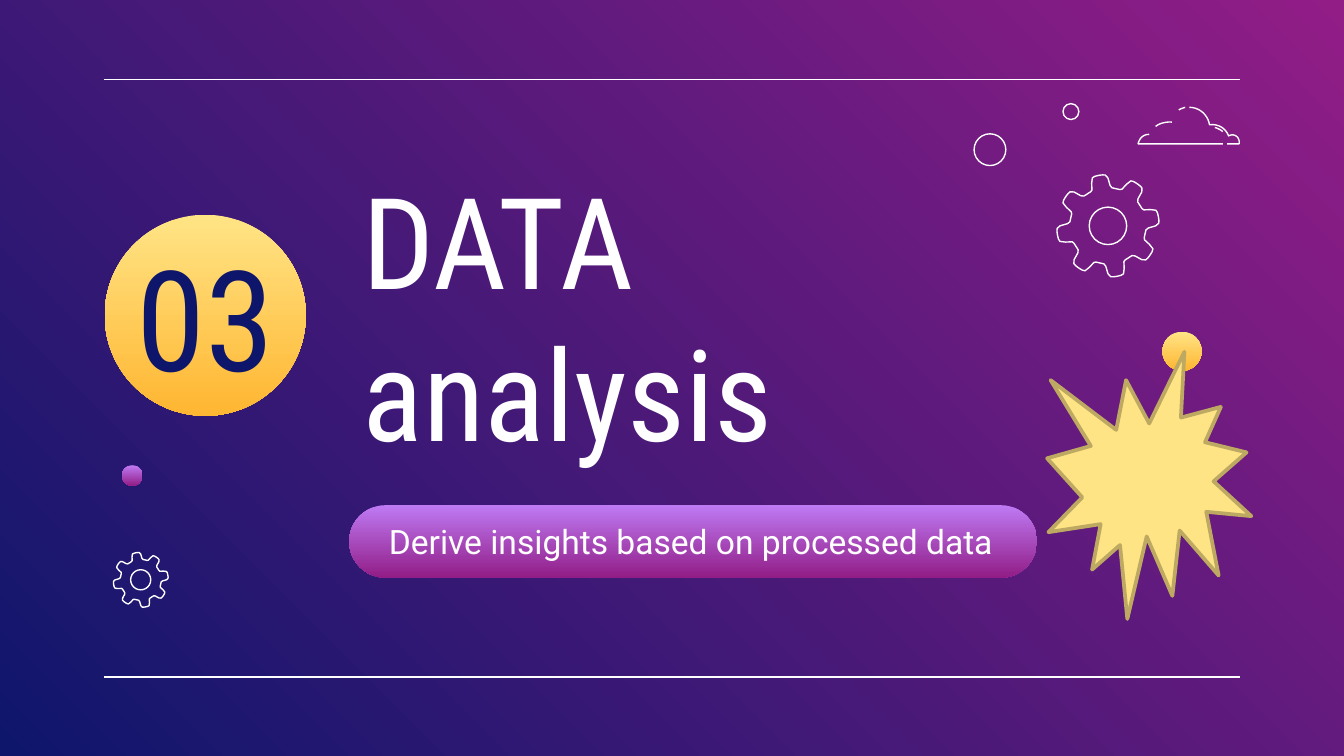
import math

import lxml.etree
import pptx
import pptx.dml.color
import pptx.enum.shapes
import pptx.enum.text
import pptx.oxml.ns
import pptx.util

Cm = pptx.util.Cm
Pt = pptx.util.Pt
RGBColor = pptx.dml.color.RGBColor
Shape = pptx.enum.shapes.MSO_SHAPE
Align = pptx.enum.text.PP_ALIGN

WHITE = RGBColor(0xFF, 0xFF, 0xFF)
NAVY = RGBColor(0x0E, 0x16, 0x6C)
MAGENTA = RGBColor(0x92, 0x1D, 0x87)
LILAC = RGBColor(0xBE, 0x7A, 0xF3)
YELLOW = RGBColor(0xFF, 0xE4, 0x85)
ORANGE = RGBColor(0xFF, 0xB6, 0x32)
KHAKI = RGBColor(0xBD, 0xA9, 0x62)

GOLD_BLEND = (YELLOW, ORANGE)
PURPLE_BLEND = (LILAC, MAGENTA)

# Cloud strokes in cm: a start, then line ends (2 numbers) or curves (6 numbers)
CLOUD = [
    [(22.48, 2.03), (22.68, 2.03, 22.83, 2.18, 22.86, 2.36),
     (23.01, 2.34, 23.16, 2.41, 23.22, 2.57),
     (23.32, 2.51, 23.44, 2.59, 23.42, 2.72), (23.19, 2.72)],
    [(22.4, 2.03), (22.4, 2.03, 22.3, 2.06, 22.28, 2.08)],
    [(23.11, 2.72), (21.51, 2.72), (21.51, 2.72, 21.54, 2.54, 21.72, 2.54)],
    [(22.96, 2.41), (22.96, 2.41, 23.06, 2.44, 23.11, 2.49)],
    [(22.15, 2.31), (22.15, 2.31, 21.97, 2.29, 21.84, 2.39)],
]


def blend(fill, colors, angle):
    """Two-colour gradient; the angle runs counter-clockwise."""
    fill.gradient()
    fill.gradient_angle = angle
    for stop, color in zip(fill.gradient_stops, colors):
        stop.color.rgb = color


def outline(shape, color=WHITE, width=0.75):
    shape.line.color.rgb = color
    shape.line.width = Pt(width)


def add_blended(slide, preset, left, top, width, height, colors):
    shape = slide.shapes.add_shape(preset, Cm(left), Cm(top), Cm(width), Cm(height))
    shape.shadow.inherit = False
    shape.line.fill.background()
    blend(shape.fill, colors, 270)
    return shape


def add_disc(slide, x, y, diameter, colors):
    radius = diameter / 2
    add_blended(slide, Shape.OVAL, x - radius, y - radius, diameter, diameter, colors)


def add_ring(slide, x, y, diameter):
    radius = diameter / 2
    ring = slide.shapes.add_shape(
        Shape.OVAL, Cm(x - radius), Cm(y - radius), Cm(diameter), Cm(diameter))
    ring.shadow.inherit = False
    ring.fill.background()
    outline(ring)


def add_rule(slide, y):
    rule = slide.shapes.add_connector(
        pptx.enum.shapes.MSO_CONNECTOR.STRAIGHT, Cm(1.96), Cm(y), Cm(23.44), Cm(y))
    outline(rule)
    properties = rule.element.find(pptx.oxml.ns.qn("p:spPr"))
    lxml.etree.SubElement(properties, pptx.oxml.ns.qn("a:effectLst"))


def add_stroke(slide, points, close):
    points = [(Cm(x), Cm(y)) for x, y in points]
    builder = slide.shapes.build_freeform(*points[0])
    builder.add_line_segments(points[1:], close=close)
    stroke = builder.convert_to_shape()
    stroke.shadow.inherit = False
    stroke.fill.background()
    outline(stroke)


def add_gear(slide, x, y, radius):
    """Eight rounded teeth around a round hole."""
    rim = []
    for degrees in range(0, 360, 3):
        wave = math.cos(math.radians(8 * (degrees - 35)))
        reach = radius * (0.87 + 0.13 * math.tanh(3 * wave))
        angle = math.radians(degrees)
        rim.append((x + reach * math.cos(angle), y + reach * math.sin(angle)))
    add_stroke(slide, rim, close=True)
    add_ring(slide, x, y, radius * 0.73)


def trace(segments, steps=10):
    """Points along a stroke of lines and cubic curves."""
    points = [segments[0]]
    for segment in segments[1:]:
        if len(segment) == 2:
            points.append(segment)
            continue
        corners = [points[-1], segment[:2], segment[2:4], segment[4:]]
        for step in range(1, steps + 1):
            t = step / steps
            weights = ((1 - t) ** 3, 3 * t * (1 - t) ** 2, 3 * t * t * (1 - t), t ** 3)
            points.append(tuple(
                sum(w * corner[axis] for w, corner in zip(weights, corners))
                for axis in (0, 1)))
    return points


def set_text(box, text, place, font, size, color, align):
    box.left, box.top, box.width, box.height = map(Cm, place)
    frame = box.text_frame
    frame.text = text
    frame.word_wrap = True
    frame.auto_size = pptx.enum.text.MSO_AUTO_SIZE.NONE
    frame.vertical_anchor = pptx.enum.text.MSO_ANCHOR.MIDDLE
    frame.margin_left = frame.margin_right = Cm(0.25)
    frame.margin_top = frame.margin_bottom = Cm(0.25)
    paragraph = frame.paragraphs[0]
    paragraph.alignment = align
    paragraph.space_before = Pt(0)
    run_font = paragraph.runs[0].font
    run_font.name = font
    run_font.size = Pt(size)
    run_font.color.rgb = color


def main():
    deck = pptx.Presentation()
    deck.slide_width, deck.slide_height = Cm(25.4), Cm(14.29)
    slide = deck.slides.add_slide(deck.slide_layouts[0])
    blend(slide.background.fill, (MAGENTA, NAVY), 225)

    # Frame lines, subtitle pill and number badge
    for y in (1.5, 12.8):
        add_rule(slide, y)
    pill = add_blended(slide, Shape.ROUNDED_RECTANGLE, 6.6, 9.55, 13, 1.37, PURPLE_BLEND)
    pill.adjustments[0] = 0.5
    add_disc(slide, 3.88, 5.96, 3.8, GOLD_BLEND)

    # Section title, subtitle and number, in front of their backings
    title, subtitle = slide.placeholders
    for box in (title, subtitle):
        slide.shapes.element.append(box.element)
    number = slide.shapes.add_textbox(0, 0, 0, 0)
    set_text(title, "DATA analysis", (6.6, 3.53, 12.34, 4.83),
             "Roboto Condensed", 68, WHITE, Align.LEFT)
    set_text(subtitle, "Derive insights based on processed data",
             (6.76, 9.8, 12.6, 0.84), "Roboto", 18, WHITE, Align.CENTER)
    set_text(number, "03", (1.98, 4.9, 3.81, 2.11),
             "Roboto Condensed", 75, NAVY, Align.CENTER)

    # Floating decorations
    add_ring(slide, 20.24, 2.11, 0.3)
    add_ring(slide, 18.71, 2.83, 0.6)
    add_disc(slide, 22.34, 6.64, 0.74, GOLD_BLEND)
    add_disc(slide, 2.5, 8.99, 0.39, PURPLE_BLEND)
    for segments in CLOUD:
        add_stroke(slide, trace(segments), close=False)
    add_gear(slide, 20.94, 4.27, 0.97)
    add_gear(slide, 2.66, 10.96, 0.52)

    # Starburst
    burst = slide.shapes.add_shape(
        Shape.EXPLOSION1, Cm(19.79), Cm(6.65), Cm(3.86), Cm(5.05))
    burst.shadow.inherit = False
    burst.fill.solid()
    burst.fill.fore_color.rgb = YELLOW
    outline(burst, KHAKI, 2)

    deck.save("out.pptx")


if __name__ == "__main__":
    main()
